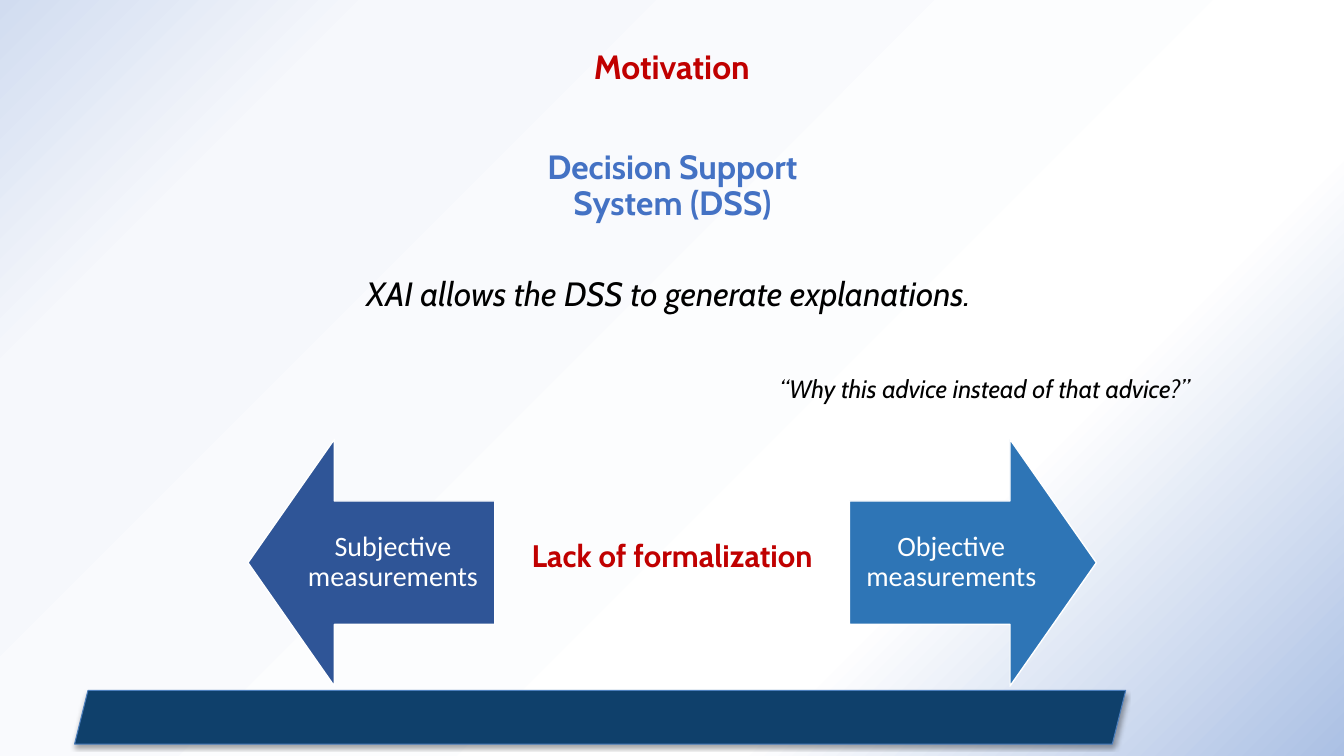
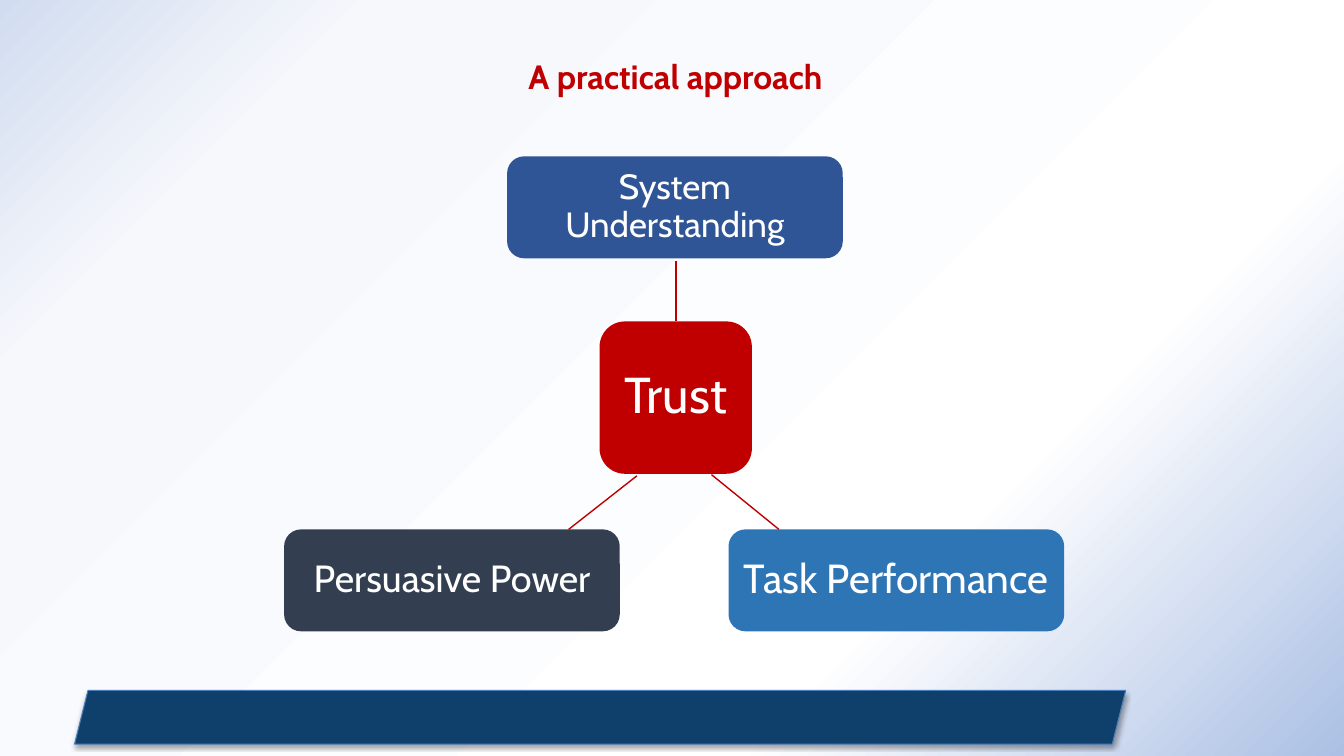
from dataclasses import dataclass

import lxml.etree
import pptx
import pptx.dml.color
import pptx.enum.shapes
import pptx.enum.text
import pptx.oxml
import pptx.oxml.ns
import pptx.util
from pptx.util import Cm

RGBColor = pptx.dml.color.RGBColor
Preset = pptx.enum.shapes.MSO_SHAPE
qn = pptx.oxml.ns.qn

RED = RGBColor(0xC0, 0x00, 0x00)
BLUE = RGBColor(0x44, 0x72, 0xC4)
DARK_BLUE = RGBColor(0x2F, 0x55, 0x97)
MID_BLUE = RGBColor(0x2E, 0x75, 0xB6)
SLATE = RGBColor(0x33, 0x3F, 0x50)
BAND_FILL = RGBColor(0x0F, 0x40, 0x6B)
BAND_EDGE = RGBColor(0x4B, 0x7E, 0xBC)
BLACK = RGBColor(0x00, 0x00, 0x00)
WHITE = RGBColor(0xFF, 0xFF, 0xFF)
BACKDROP_STOPS = (
    (0, RGBColor(0xAB, 0xC0, 0xE4)),
    (29, WHITE),
    (82, RGBColor(0xF6, 0xF8, 0xFC)),
    (100, RGBColor(0xD1, 0xDC, 0xF0)),
)

HEADING_FONT = "Cabin"
ARROW_FONT = "Calibri"


@dataclass(frozen=True)
class Area:
    """A rectangle in centimetres."""
    left: float
    top: float
    width: float
    height: float

    def lengths(self) -> tuple:
        return Cm(self.left), Cm(self.top), Cm(self.width), Cm(self.height)


@dataclass(frozen=True)
class Wording:
    text: str
    size: float
    color: RGBColor = WHITE
    font: str = HEADING_FONT
    bold: bool = False
    italic: bool = False


@dataclass(frozen=True)
class Statement:
    area: Area
    wording: Wording


@dataclass(frozen=True)
class Block:
    """A filled shape, with its text and edge where it has them."""
    preset: Preset
    area: Area
    fill: RGBColor
    wording: Wording | None = None
    inset: float = 0.18
    edge: RGBColor | None = None
    edge_width: float = 1
    adjustments: tuple = ()


@dataclass(frozen=True)
class Link:
    start: tuple[float, float]
    end: tuple[float, float]


BAND = Block(Preset.PARALLELOGRAM, Area(1.88, 17.4, 26.49, 1.35), BAND_FILL,
             edge=BAND_EDGE, edge_width=0.75)


def write(frame, wording: Wording, space_before: float = 0) -> None:
    frame.word_wrap = True
    paragraph = frame.paragraphs[0]
    paragraph.alignment = pptx.enum.text.PP_ALIGN.CENTER
    paragraph.line_spacing = 0.9
    paragraph.space_before = pptx.util.Pt(space_before)
    run = paragraph.add_run()
    run.text = wording.text
    run.font.name = wording.font
    run.font.size = pptx.util.Pt(wording.size)
    run.font.bold = wording.bold
    run.font.italic = wording.italic
    run.font.color.rgb = wording.color


def add_statement(slide, statement: Statement) -> None:
    box = slide.shapes.add_textbox(*statement.area.lengths())
    write(box.text_frame, statement.wording, space_before=10)


def add_title(slide, text: str, area: Area) -> None:
    add_statement(slide, Statement(area, Wording(text, 24, RED, bold=True)))


def add_block(slide, block: Block):
    shape = slide.shapes.add_shape(block.preset, *block.area.lengths())
    shape.shadow.inherit = False
    for index, value in enumerate(block.adjustments):
        shape.adjustments[index] = value
    shape.fill.solid()
    shape.fill.fore_color.rgb = block.fill
    if block.edge is None:
        shape.line.fill.background()
    else:
        shape.line.color.rgb = block.edge
        shape.line.width = pptx.util.Pt(block.edge_width)
    if block.wording:
        frame = shape.text_frame
        frame.vertical_anchor = pptx.enum.text.MSO_ANCHOR.MIDDLE
        frame.margin_left = frame.margin_right = Cm(block.inset)
        frame.margin_top = frame.margin_bottom = Cm(block.inset)
        write(frame, block.wording)
    return shape


def add_link(slide, link: Link) -> None:
    ends = [Cm(value) for value in link.start + link.end]
    line = slide.shapes.add_connector(
        pptx.enum.shapes.MSO_CONNECTOR.STRAIGHT, *ends)
    line.line.color.rgb = RED
    line.line.width = pptx.util.Pt(1)
    lxml.etree.SubElement(line.element.spPr, qn("a:effectLst"))


def add_band(slide) -> None:
    band = add_block(slide, BAND)
    effects = band.element.spPr.find(qn("a:effectLst"))
    shadow = lxml.etree.SubElement(
        effects, qn("a:outerShdw"), blurRad=str(pptx.util.Pt(3.1)),
        dist=str(pptx.util.Pt(1.8)), dir="5400000", rotWithShape="0")
    tint = lxml.etree.SubElement(shadow, qn("a:srgbClr"), val=str(BLACK))
    lxml.etree.SubElement(tint, qn("a:alpha"), val="35000")


def set_backdrop(master) -> None:
    """Give every slide a gradient that spreads from the lower right corner."""
    master.background.fill.gradient()
    gradient = next(master.element.iter(qn("a:gradFill")))
    for child in list(gradient):
        gradient.remove(child)
    stops = lxml.etree.SubElement(gradient, qn("a:gsLst"))
    for percent, color in BACKDROP_STOPS:
        stop = lxml.etree.SubElement(stops, qn("a:gs"), pos=str(percent * 1000))
        lxml.etree.SubElement(stop, qn("a:srgbClr"), val=str(color))
    spread = lxml.etree.SubElement(gradient, qn("a:path"))
    spread.set("path", "circle")
    lxml.etree.SubElement(spread, qn("a:fillToRect"), l="100000", t="100000")
    lxml.etree.SubElement(gradient, qn("a:tileRect"), r="-100000", b="-100000")


def add_slide(deck):
    slide = deck.slides.add_slide(deck.slide_layouts[6])
    add_band(slide)
    return slide


def measurement_arrow(preset: Preset, left: float, fill: RGBColor,
                      text: str) -> Block:
    return Block(preset, Area(left, 11.07, 6.22, 6.22), fill,
                 Wording(text, 20, font=ARROW_FONT), inset=0.41,
                 edge=WHITE, adjustments=(0.5, 0.35))


def factor(left: float, top: float, fill: RGBColor, text: str,
           size: float) -> Block:
    return Block(Preset.ROUNDED_RECTANGLE, Area(left, top, 8.46, 2.57), fill,
                 Wording(text, size))


def build_motivation(deck) -> None:
    slide = add_slide(deck)
    arrows = (
        measurement_arrow(Preset.LEFT_ARROW, 6.25, DARK_BLUE,
                          "Subjective measurements"),
        measurement_arrow(Preset.RIGHT_ARROW, 21.41, MID_BLUE,
                          "Objective measurements"),
    )
    statements = (
        Statement(Area(12.17, 3.66, 9.55, 2.97),
                  Wording("Decision Support System (DSS)", 24, BLUE, bold=True)),
        Statement(Area(18.26, 9.37, 13.11, 1.35),
                  Wording("“Why this advice instead of that advice?”", 18,
                          BLACK, italic=True)),
        Statement(Area(12.62, 13.51, 8.64, 1.35),
                  Wording("Lack of formalization", 22.2, RED, bold=True)),
        Statement(Area(5.16, 6.86, 23.57, 1.63),
                  Wording("XAI allows the DSS to generate explanations. ", 24,
                          BLACK, italic=True)),
    )
    for arrow in arrows:
        add_block(slide, arrow)
    add_title(slide, "Motivation", Area(12.42, 1.14, 9.02, 1.63))
    for statement in statements:
        add_statement(slide, statement)


def build_approach(deck) -> None:
    slide = add_slide(deck)
    add_title(slide, "A practical approach", Area(12.04, 1.4, 9.96, 1.35))
    trust = Block(Preset.ROUNDED_RECTANGLE, Area(15.11, 8.1, 3.84, 3.84), RED,
                  Wording("Trust", 36))
    factors = (
        factor(12.78, 3.94, DARK_BLUE, "System Understanding", 25),
        factor(7.16, 13.34, SLATE, "Persuasive Power", 27),
        factor(18.36, 13.34, MID_BLUE, "Task Performance", 29),
    )
    links = (
        Link((17.04, 8.08), (17.04, 6.58)),
        Link((16.05, 11.99), (14.33, 13.34)),
        Link((17.93, 11.96), (19.63, 13.34)),
    )
    for block in (*factors, trust):
        add_block(slide, block)
    for link in links:
        add_link(slide, link)


def main() -> None:
    deck = pptx.Presentation()
    deck.slide_width, deck.slide_height = Cm(33.87), Cm(19.05)
    set_backdrop(deck.slide_master)
    build_motivation(deck)
    build_approach(deck)
    deck.save("out.pptx")


if __name__ == "__main__":
    main()
